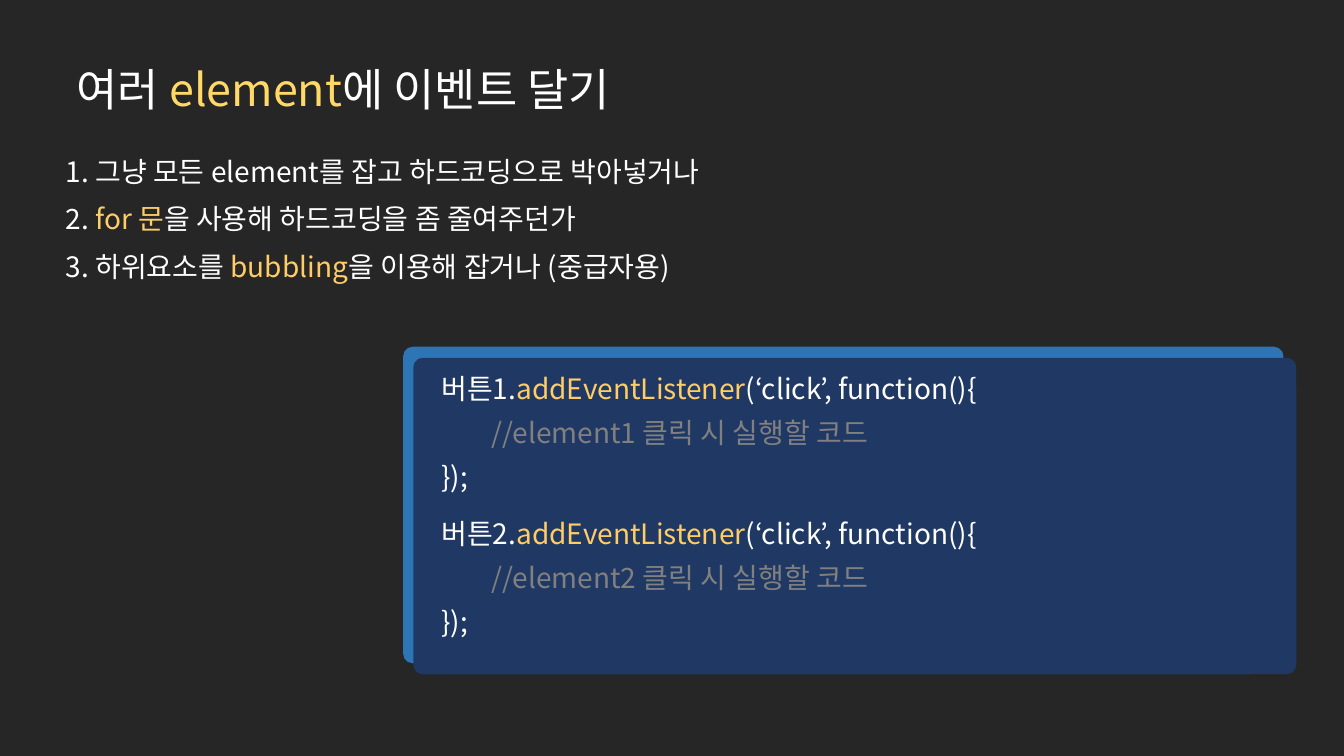
"""Build a slide on adding events to several elements."""
import dataclasses
import typing

import pptx
import pptx.dml.color
import pptx.enum.shapes
import pptx.enum.text
import pptx.oxml.ns
import pptx.util
from lxml import etree

RGB = pptx.dml.color.RGBColor
WHITE = RGB(0xFF, 0xFF, 0xFF)
GOLD = RGB(0xFF, 0xD9, 0x66)
AMBER = RGB(0xFF, 0xCC, 0x66)
GRAY = RGB(0x80, 0x80, 0x80)
BLUE = RGB(0x2E, 0x75, 0xB6)
NAVY = RGB(0x20, 0x38, 0x64)
DARK = RGB(0x26, 0x26, 0x26)
FACE = "Noto Sans CJK KR"
WIDE = pptx.util.Inches(13.33)
HIGH = pptx.util.Inches(7.5)


@dataclasses.dataclass(frozen=True)
class Area:
    """Left, top, width and height in percent of the slide."""

    left: float
    top: float
    width: float
    height: float

    def frame(self) -> tuple[int, int, int, int]:
        return (
            round(self.left * WIDE / 100),
            round(self.top * HIGH / 100),
            round(self.width * WIDE / 100),
            round(self.height * HIGH / 100),
        )


class Card(typing.NamedTuple):
    area: Area
    color: RGB


class Part(typing.NamedTuple):
    text: str
    color: RGB = WHITE


class Style(typing.NamedTuple):
    size: int
    line: float
    gap: int = 0


Line = list[Part]

TITLE = [[Part("여러 "), Part("element", GOLD), Part("에 이벤트 달기")]]
STEPS = [
    [Part("1. 그냥 모든 element를 잡고 하드코딩으로 박아넣거나")],
    [Part("2. "), Part("for 문", AMBER), Part("을 사용해 하드코딩을 좀 줄여주던가")],
    [Part("3. 하위요소를 "), Part("bubbling", AMBER), Part("을 이용해 잡거나 (중급자용)")],
]
CARDS = [
    Card(Area(30, 45.87, 65.5, 41.87), BLUE),
    Card(Area(30.75, 47.33, 65.7, 41.87), NAVY),
]


def code(number: int) -> list[Line]:
    """Return the listener code for one button."""
    return [
        [Part(f"버튼{number}."), Part("addEventListener", AMBER), Part("(‘click’, function(){")],
        [Part("\t"), Part(f"//element{number} 클릭 시 실행할 코드", GRAY)],
        [Part("});")],
    ]


def write(frame: pptx.text.text.TextFrame, lines: list[Line], style: Style) -> None:
    """Fill a text frame with coloured lines."""
    frame.word_wrap = True
    frame.auto_size = pptx.enum.text.MSO_AUTO_SIZE.NONE
    for index, line in enumerate(lines):
        para = frame.add_paragraph() if index else frame.paragraphs[0]
        para.alignment = pptx.enum.text.PP_ALIGN.LEFT
        para.line_spacing = style.line
        para.space_before = pptx.util.Pt(style.gap if index else 0)
        props = para._p.get_or_add_pPr()
        props.set("marL", "0")
        props.set("indent", "0")
        etree.SubElement(props, pptx.oxml.ns.qn("a:buNone"))
        para.font.size = pptx.util.Pt(style.size)
        para.font.name = FACE
        for part in line:
            run = para.add_run()
            run.text = part.text
            run.font.color.rgb = part.color
            east = etree.SubElement(run._r.get_or_add_rPr(), pptx.oxml.ns.qn("a:ea"))
            east.set("typeface", FACE)


def place(shape: pptx.shapes.base.BaseShape, area: Area) -> None:
    """Move a shape to its area."""
    shape.left, shape.top, shape.width, shape.height = area.frame()


def draw(slide: pptx.slide.Slide, card: Card) -> None:
    """Draw one rounded card."""
    kind = pptx.enum.shapes.MSO_SHAPE.ROUNDED_RECTANGLE
    shape = slide.shapes.add_shape(kind, *card.area.frame())
    shape.adjustments[0] = 0.03
    shape.shadow.inherit = False
    shape.fill.solid()
    shape.fill.fore_color.rgb = card.color
    shape.line.fill.background()


def main() -> None:
    """Build and save the slide."""
    deck = pptx.Presentation()
    deck.slide_width, deck.slide_height = WIDE, HIGH
    slide = deck.slides.add_slide(deck.slide_layouts[1])
    slide.background.fill.solid()
    slide.background.fill.fore_color.rgb = DARK

    title, body = slide.placeholders
    place(title, Area(4.95, 4.53, 74.55, 15.2))
    write(title.text_frame, TITLE, Style(32, 0.9))
    title.text_frame.vertical_anchor = pptx.enum.text.MSO_ANCHOR.MIDDLE
    place(body, Area(4.13, 19.73, 85.6, 24.4))
    write(body.text_frame, STEPS, Style(20, 1, 10))

    for card in CARDS:
        draw(slide, card)
    for index in range(2):
        area = Area(32.1, 48.93 + 19.2 * index, 52, 17.2)
        box = slide.shapes.add_textbox(*area.frame())
        write(box.text_frame, code(index + 1), Style(20, 0.9, 10))

    deck.save("out.pptx")


if __name__ == "__main__":
    main()
